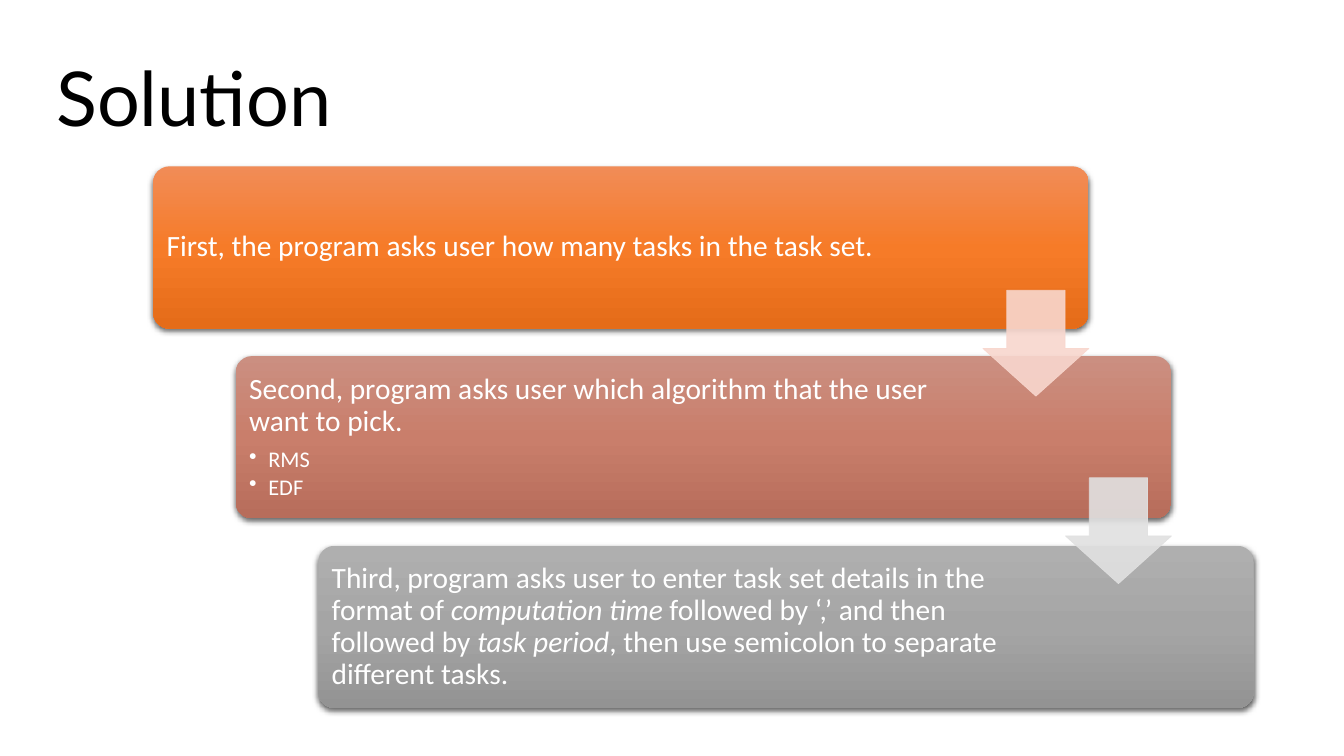
from lxml import etree
from pptx import Presentation
from pptx.dml.color import RGBColor
from pptx.enum.shapes import MSO_SHAPE
from pptx.enum.text import MSO_ANCHOR, PP_ALIGN
from pptx.oxml import parse_xml
from pptx.oxml.ns import qn
from pptx.util import Inches, Pt

ROUNDED = MSO_SHAPE.ROUNDED_RECTANGLE
DOWN_ARROW = MSO_SHAPE.DOWN_ARROW
MIDDLE = MSO_ANCHOR.MIDDLE
LEFT = PP_ALIGN.LEFT
NAMESPACE = 'xmlns:a="http://schemas.openxmlformats.org/drawingml/2006/main"'

STEP_X, STEP_Y = 6.14, 25.1
CARD_LEFT, CARD_TOP, CARD_WIDTH, CARD_HEIGHT = 11.4, 22, 69.6, 21.47
PAD_X, PAD_Y = 0.33, 0.63
ARROW_LEFT, ARROW_TOP, ARROW_STEP_Y = 73.14, 38.4, 24.8
ARROW_WIDTH, ARROW_HEIGHT = 7.88, 14


def color(value):
    return RGBColor.from_string(value)


class StepPage:
    heading_font = "Lato"
    body_font = "Calibri"
    body_color = "FFFFFF"

    def __init__(self, deck):
        self.deck = deck
        self.page = deck.slides.add_slide(deck.slide_layouts[6])

    def area(self, left, top, width, height):
        across, down = self.deck.slide_width / 100, self.deck.slide_height / 100
        return [round(n) for n in (left * across, top * down, width * across, height * down)]

    def frame(self, place, inset_x, inset_y):
        text = self.page.shapes.add_textbox(*self.area(*place)).text_frame
        text.word_wrap = True
        text.vertical_anchor = MIDDLE
        text.margin_left = text.margin_right = Inches(inset_x)
        text.margin_top = text.margin_bottom = Inches(inset_y)
        return text

    def add_spans(self, para, spans, size, font, ink):
        para.alignment = LEFT
        para.line_spacing = 0.9
        for words, italic in spans:
            span = para.add_run()
            span.text = words
            span.font.size = Pt(size)
            span.font.name = font
            span.font.italic = italic
            span.font.color.rgb = color(ink)

    def title(self, words, place):
        para = self.frame(place, 0.1, 0.05).paragraphs[0]
        self.add_spans(para, [(words, False)], 54, self.heading_font, "000000")

    def card(self, place, shades):
        box = self.page.shapes.add_shape(ROUNDED, *self.area(*place))
        box.adjustments[0] = 0.1
        box.line.fill.background()
        box.shadow.inherit = False
        box.fill.background()
        stops = "".join(
            f'<a:gs pos="{index * 50000}"><a:srgbClr val="{shade}"/></a:gs>'
            for index, shade in enumerate(shades)
        )
        gradient = parse_xml(
            f'<a:gradFill {NAMESPACE} rotWithShape="1"><a:gsLst>{stops}</a:gsLst>'
            '<a:lin ang="5400000" scaled="0"/></a:gradFill>'
        )
        properties = box.element.spPr
        properties.replace(properties.find(qn("a:noFill")), gradient)
        properties.find(qn("a:effectLst")).append(parse_xml(
            f'<a:outerShdw {NAMESPACE} blurRad="{Pt(4.5)}" dist="{Pt(1.5)}" dir="5400000" '
            'algn="ctr" rotWithShape="0"><a:srgbClr val="000000">'
            '<a:alpha val="63000"/></a:srgbClr></a:outerShdw>'
        ))

    def body(self, place, spans, bullets):
        text = self.frame(place, 0.09, 0.09)
        para = text.paragraphs[0]
        para.space_after = Pt(7.35)
        self.add_spans(para, spans, 21, self.body_font, self.body_color)
        for words in bullets:
            para = text.add_paragraph()
            para.level = 1
            para.space_after = Pt(2.4)
            self.add_spans(para, [(words, False)], 16, self.body_font, self.body_color)
            properties = para._p.get_or_add_pPr()
            properties.set("marL", str(Inches(0.19)))
            properties.set("indent", str(Inches(-0.19)))
            etree.SubElement(properties, qn("a:buChar")).set("char", "•")

    def arrow(self, place, shade):
        box = self.page.shapes.add_shape(DOWN_ARROW, *self.area(*place))
        box.adjustments[0] = 0.55
        box.adjustments[1] = 0.45
        box.shadow.inherit = False
        box.line.width = Pt(0.5)
        for paint in (box.fill, box.line.fill):
            paint.solid()
            paint.fore_color.rgb = color(shade)
        for tint in box.element.spPr.iter(qn("a:srgbClr")):
            etree.SubElement(tint, qn("a:alpha")).set("val", "90000")


STEPS = [
    (("F18C57", "F67B28", "E56C19"), 56.56,
     [("First, the program asks user how many tasks in the task set.", False)], []),
    (("CB8F81", "C97E6B", "B76D5B"), 54.9,
     [("Second, program asks user which algorithm that the user want to pick.", False)],
     ["RMS", "EDF"]),
    (("AFAFAF", "A5A5A5", "939393"), 54.9,
     [("Third, program asks user to enter task set details in the format of ", False),
      ("computation time", True),
      (" followed by ‘,’ and then followed by ", False),
      ("task period", True),
      (", then use semicolon to separate different tasks.", False)], []),
]
ARROW_SHADES = ["F8D7CE", "E1E1E1"]


def main():
    deck = Presentation()
    deck.slide_width, deck.slide_height = Inches(13.33), Inches(7.5)
    steps = StepPage(deck)
    steps.title("Solution", (3.45, 5.07, 54, 16.93))
    for index, (shades, text_width, spans, bullets) in enumerate(STEPS):
        left = CARD_LEFT + index * STEP_X
        top = CARD_TOP + index * STEP_Y
        steps.card((left, top, CARD_WIDTH, CARD_HEIGHT), shades)
        steps.body((left + PAD_X, top + PAD_Y, text_width, CARD_HEIGHT - 2 * PAD_Y),
                   spans, bullets)
    for index, shade in enumerate(ARROW_SHADES):
        steps.arrow((ARROW_LEFT + index * STEP_X, ARROW_TOP + index * ARROW_STEP_Y,
                     ARROW_WIDTH, ARROW_HEIGHT), shade)
    deck.save("out.pptx")


if __name__ == "__main__":
    main()
